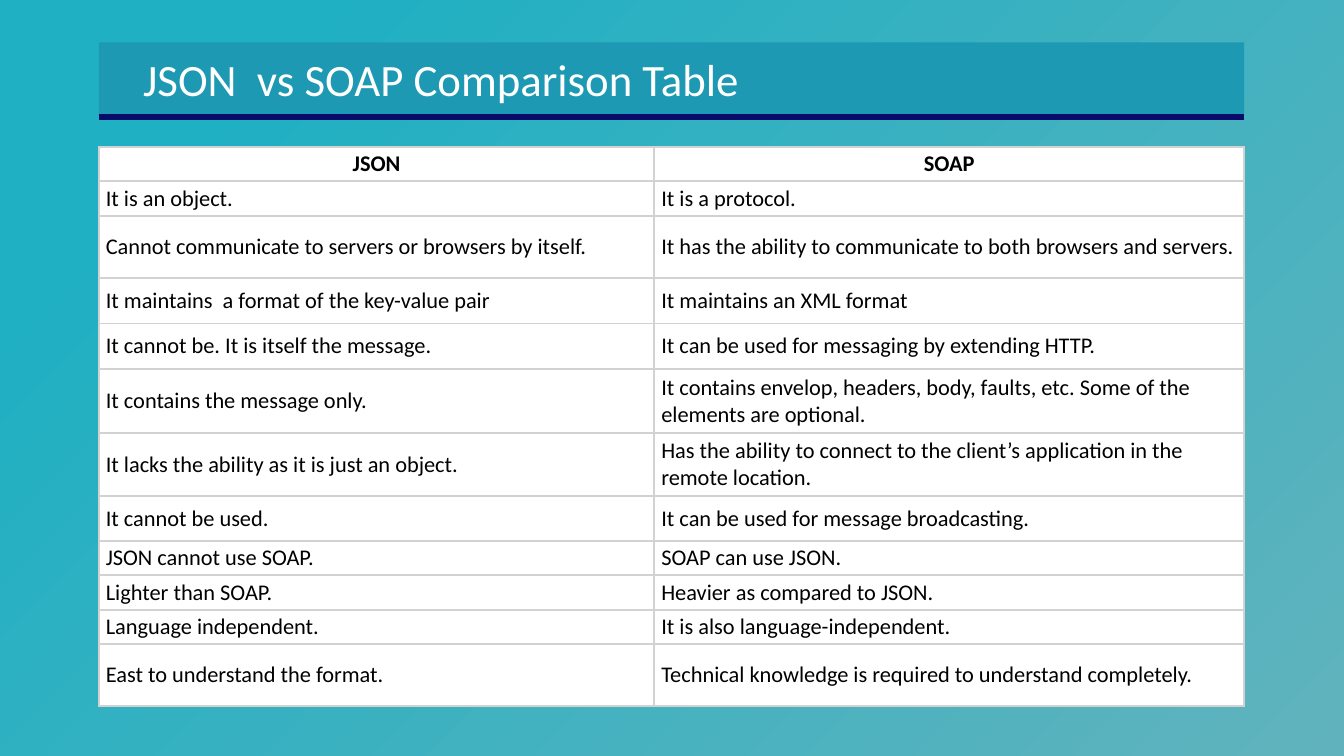
"""Build a one-slide comparison of JSON and SOAP."""
import pptx
import pptx.dml.color
import pptx.enum.shapes
import pptx.enum.text
import pptx.oxml
import pptx.oxml.ns
import pptx.util

Inches = pptx.util.Inches
Pt = pptx.util.Pt
RGBColor = pptx.dml.color.RGBColor

WHITE = RGBColor(0xFF, 0xFF, 0xFF)
BLACK = RGBColor(0x00, 0x00, 0x00)
BAND = RGBColor(0x1D, 0x99, 0xB3)
NAVY = RGBColor(0x09, 0x0B, 0x6B)
BORDER = RGBColor(0xD2, 0xD2, 0xD2)
AQUA = RGBColor(0x1F, 0xB0, 0xC3)
MIST = RGBColor(0x60, 0xB3, 0xBD)
FONT = "Calibri"

LEFT, WIDTH = 0.98, 11.36
COLUMN_WIDTHS = (5.51, 5.85)
SHORT, MEDIUM, TALL = 0.34, 0.45, 0.62
COMPARISON = [
    (SHORT, "JSON", "SOAP"),
    (SHORT, "It is an object.", "It is a protocol."),
    (TALL, "Cannot communicate to servers or browsers by itself.",
     "It has the ability to communicate to both browsers and servers."),
    (MEDIUM, "It maintains\u00a0 a format of the key-value pair",
     "It maintains an XML format"),
    (MEDIUM, "It cannot be. It is itself the message.",
     "It can be used for messaging by extending HTTP."),
    (0.64, "It contains the message only.",
     "It contains envelop, headers, body, faults, etc. Some of the elements are optional."),
    (TALL, "It lacks the ability as it is just an object.",
     "Has the ability to connect to the client\u2019s application in the remote location."),
    (MEDIUM, "It cannot be used.", "It can be used for message broadcasting."),
    (SHORT, "JSON cannot use SOAP.", "SOAP can use JSON."),
    (SHORT, "Lighter than SOAP.", "Heavier as compared to JSON."),
    (SHORT, "Language independent.", "It is also language-independent."),
    (TALL, "East to understand the format.",
     "Technical knowledge is required to understand completely."),
]


def parse_drawing(tag, attributes, content=""):
    """Return a DrawingML element made from its tag, attributes and content."""
    namespace = pptx.oxml.ns.nsdecls("a")
    return pptx.oxml.parse_xml(f"<a:{tag} {namespace} {attributes}>{content}</a:{tag}>")


def add_span(para, text, size, color, bold=False):
    """Add one formatted run to a paragraph."""
    span = para.add_run()
    span.text = text
    span.font.name = FONT
    span.font.size = Pt(size)
    span.font.bold = bold
    span.font.color.rgb = color


def paint_background(page):
    """Fill the page with a gradient that spreads from the top left corner."""
    fill = page.background.fill
    fill.gradient()
    for stop, position, color in zip(fill.gradient_stops, (0.15, 1), (AQUA, MIST)):
        stop.position = position
        stop.color.rgb = color
    gradient = page.background._cSld.find(".//" + pptx.oxml.ns.qn("a:gradFill"))
    linear = gradient.find(pptx.oxml.ns.qn("a:lin"))
    focus = '<a:fillToRect r="100000" b="100000"/>'
    gradient.replace(linear, parse_drawing("path", 'path="circle"', focus))


def add_heading(page, left, top, width, height):
    """Place the title on a coloured band with a rule along its lower edge."""
    band = page.shapes.add_shape(
        pptx.enum.shapes.MSO_SHAPE.RECTANGLE,
        Inches(left), Inches(top), Inches(width), Inches(height))
    band.shadow.inherit = False
    band.fill.solid()
    band.fill.fore_color.rgb = BAND
    band.line.fill.background()

    title = page.shapes.title
    title.left, title.top = Inches(left + 0.34), Inches(top + 0.04)
    title.width, title.height = Inches(width - 0.34), Inches(height - 0.09)
    title.text_frame.auto_size = pptx.enum.text.MSO_AUTO_SIZE.NONE
    title.text_frame.vertical_anchor = pptx.enum.text.MSO_ANCHOR.MIDDLE
    para = title.text_frame.paragraphs[0]
    para.alignment = pptx.enum.text.PP_ALIGN.LEFT
    add_span(para, "JSON  vs SOAP Comparison Table", 32, WHITE)
    page.shapes._spTree.append(title._element)

    rule_y = Inches(top + height + 0.01)
    rule = page.shapes.add_connector(
        pptx.enum.shapes.MSO_CONNECTOR.STRAIGHT,
        Inches(left), rule_y, Inches(left + width), rule_y)
    rule.line.color.rgb = NAVY
    rule.line.width = Pt(4.5)
    rule._element.spPr.append(parse_drawing("effectLst", ""))


def format_cell(cell):
    """Give a cell its borders, white fill, margins and middle anchor."""
    properties = cell._tc.get_or_add_tcPr()
    for side in ("lnL", "lnR", "lnT", "lnB"):
        properties.append(parse_drawing(
            side, f'w="{Pt(1.5)}"',
            f'<a:solidFill><a:srgbClr val="{BORDER}"/></a:solidFill>'))
    cell.fill.solid()
    cell.fill.fore_color.rgb = WHITE
    cell.margin_left = cell.margin_right = Inches(0.07)
    cell.margin_top = cell.margin_bottom = Inches(0.03)
    cell.vertical_anchor = pptx.enum.text.MSO_ANCHOR.MIDDLE


def add_comparison(page, left, top, width, height):
    """Place the comparison table with a bold centred header row."""
    table = page.shapes.add_table(
        len(COMPARISON), len(COLUMN_WIDTHS),
        Inches(left), Inches(top), Inches(width), Inches(height)).table
    table.horz_banding = False
    for column, column_width in zip(table.columns, COLUMN_WIDTHS):
        column.width = Inches(column_width)
    for index, (row_height, *texts) in enumerate(COMPARISON):
        header = index == 0
        table.rows[index].height = Inches(row_height)
        for cell, text in zip(table.rows[index].cells, texts):
            format_cell(cell)
            para = cell.text_frame.paragraphs[0]
            if header:
                para.alignment = pptx.enum.text.PP_ALIGN.CENTER
            add_span(para, text, 16, BLACK, bold=header)


def main():
    """Create the deck and save it."""
    deck = pptx.Presentation()
    deck.slide_width, deck.slide_height = Inches(13.33), Inches(7.5)
    page = deck.slides.add_slide(deck.slide_layouts.get_by_name("Title Only"))
    paint_background(page)
    add_heading(page, LEFT, 0.42, WIDTH, 0.73)
    add_comparison(page, LEFT, 1.46, WIDTH, 5.56)
    deck.save("out.pptx")


main()
